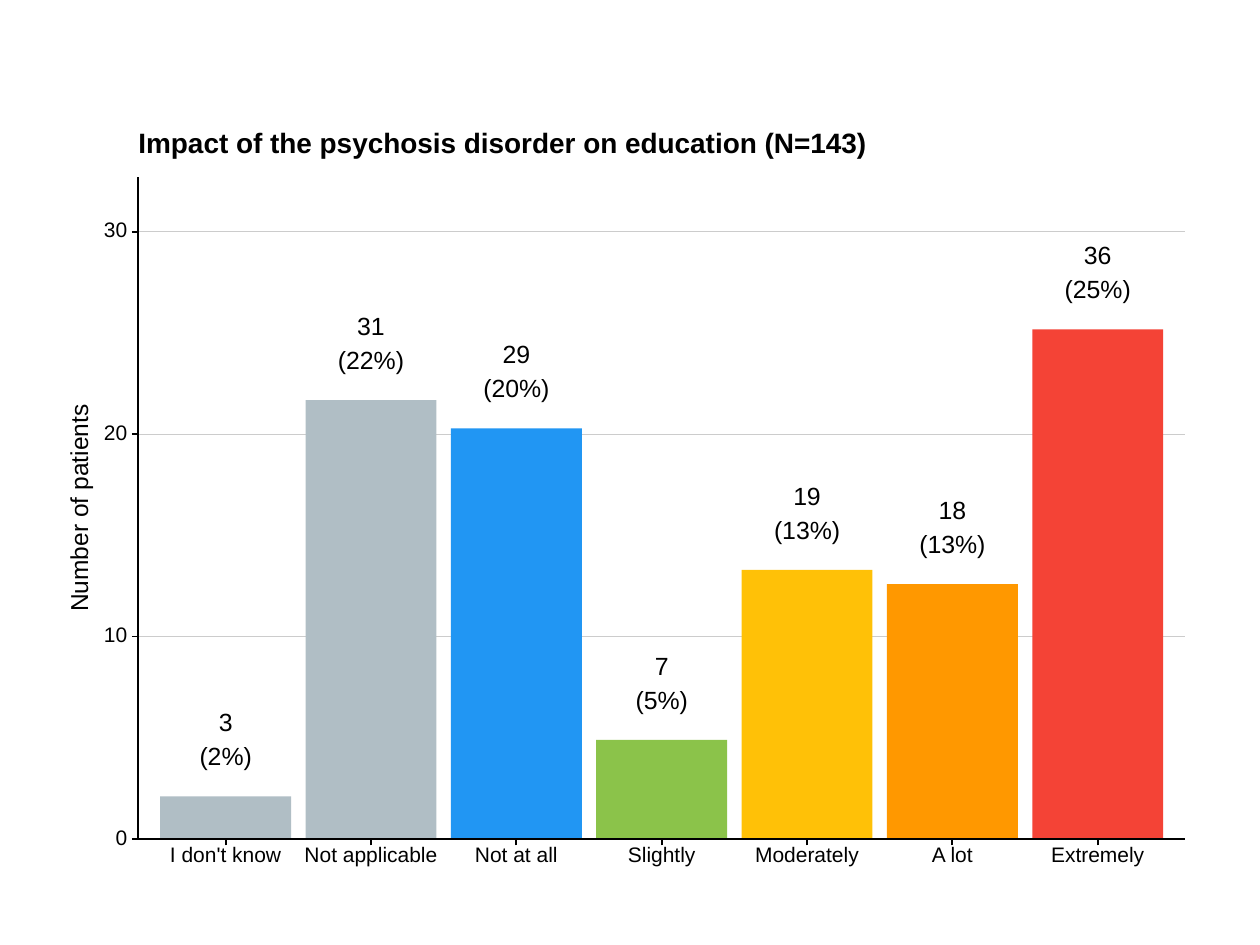
from dataclasses import dataclass
from typing import Any

from lxml import etree
from pptx import Presentation
from pptx import util as u
from pptx.dml.color import RGBColor
from pptx.enum import shapes, text
from pptx.oxml import ns

# Answers: label, label width (cm), patients, bar colour
ANSWERS = [
    ("I don't know", 2.24, 3, "B0BEC5"),
    ("Not applicable", 2.69, 31, "B0BEC5"),
    ("Not at all", 1.68, 29, "2196F3"),
    ("Slightly", 1.37, 7, "8BC34A"),
    ("Moderately", 2.08, 19, "FFC107"),
    ("A lot", 0.84, 18, "FF9800"),
    ("Extremely", 1.88, 36, "F44336"),
]
TOTAL = sum(answer[2] for answer in ANSWERS)

# Plot geometry in centimetres
LEFT, RIGHT, TOP, BASE = 2.79, 23.88, 3.56, 16.91
PERCENT_HEIGHT = 0.408
FIRST_BAR, BAR_PITCH, BAR_WIDTH = 4.55, 2.93, 2.64
TICK = 0.13
TICK_VALUES = range(0, 31, 10)


def color(hex_string):
    return RGBColor.from_string(hex_string)


def bar_center(index):
    return FIRST_BAR + index * BAR_PITCH


def value_y(percent):
    return BASE - percent * PERCENT_HEIGHT


@dataclass
class ChartSlide:
    slide: Any
    font: str = "Arial"
    ink: str = "000000"
    grid: str = "CCCCCC"
    axis_width: float = 1.07
    grid_width: float = 0.21

    def format_text(self, shape, words, size, align, bold=False):
        frame = shape.text_frame
        frame.text = words
        frame.auto_size = text.MSO_AUTO_SIZE.NONE
        frame.word_wrap = False
        frame.vertical_anchor = text.MSO_ANCHOR.MIDDLE
        frame.margin_left = frame.margin_right = 0
        frame.margin_top = frame.margin_bottom = 0
        paragraph = frame.paragraphs[0]
        paragraph.alignment = align
        paragraph.line_spacing = u.Pt(size)
        paragraph.space_before = u.Pt(0)
        paragraph.font.name = self.font
        paragraph.font.size = u.Pt(size)
        paragraph.font.bold = bold
        paragraph.font.color.rgb = color(self.ink)

    def title(self, words, left, top, width, height):
        shape = self.slide.shapes.title
        shape.left, shape.top = u.Cm(left), u.Cm(top)
        shape.width, shape.height = u.Cm(width), u.Cm(height)
        self.format_text(shape, words, 16, text.PP_ALIGN.LEFT, bold=True)

    def label(self, words, center_x, center_y, width, height, size, rotation=0):
        shape = self.slide.shapes.add_textbox(
            u.Cm(center_x - width / 2), u.Cm(center_y - height / 2),
            u.Cm(width), u.Cm(height))
        shape.rotation = rotation
        self.format_text(shape, words, size, text.PP_ALIGN.CENTER)

    def bar(self, center_x, top, fill):
        shape = self.slide.shapes.add_shape(
            shapes.MSO_SHAPE.RECTANGLE, u.Cm(center_x - BAR_WIDTH / 2),
            u.Cm(top), u.Cm(BAR_WIDTH), u.Cm(BASE - top))
        shape.shadow.inherit = False
        shape.fill.solid()
        shape.fill.fore_color.rgb = color(fill)
        shape.line.fill.background()

    def line(self, x1, y1, x2, y2, stroke, width):
        connector = self.slide.shapes.add_connector(
            shapes.MSO_CONNECTOR.STRAIGHT,
            u.Cm(x1), u.Cm(y1), u.Cm(x2), u.Cm(y2))
        connector.line.color.rgb = color(stroke)
        connector.line.width = u.Pt(width)
        properties = connector.element.find(ns.qn("p:spPr"))
        etree.SubElement(properties, ns.qn("a:effectLst"))

    def grid_line(self, y):
        self.line(LEFT, y, RIGHT, y, self.grid, self.grid_width)

    def axis_line(self, x1, y1, x2, y2):
        self.line(x1, y1, x2, y2, self.ink, self.axis_width)


def main():
    presentation = Presentation()
    presentation.slide_width = u.Cm(25.4)
    presentation.slide_height = u.Cm(19.05)
    chart = ChartSlide(presentation.slides.add_slide(presentation.slide_layouts[5]))

    chart.title("Impact of the psychosis disorder on education (N=143)",
                LEFT, 2.67, 14.73, 0.53)

    # Grid
    for value in TICK_VALUES:
        chart.grid_line(value_y(value))

    # Bars with count and share above
    for index, (_, _, count, fill) in enumerate(ANSWERS):
        percent = 100 * count / TOTAL
        center, top = bar_center(index), value_y(percent)
        chart.bar(center, top, fill)
        share = f"{percent:.0f}"
        chart.label(str(count), center, top - 1.45, 0.28 * len(str(count)), 0.36, 14.2)
        chart.label(f"({share}%)", center, top - 0.77, 0.79 + 0.28 * len(share), 0.48, 14.2)

    # Value axis
    chart.axis_line(LEFT, BASE, LEFT, TOP)
    for value in TICK_VALUES:
        y, width = value_y(value), 0.24 * len(str(value))
        chart.label(str(value), 2.57 - width / 2, y, width, 0.3, 12)
        chart.axis_line(LEFT - TICK, y, LEFT, y)
    chart.label("Number of patients", 1.63, 10.24, 4.17, 0.46, 14, rotation=270)

    # Answer axis
    chart.axis_line(LEFT, BASE, RIGHT, BASE)
    for index, (name, width, _, _) in enumerate(ANSWERS):
        center = bar_center(index)
        chart.axis_line(center, BASE + TICK, center, BASE)
        chart.label(name, center, 17.27, width, 0.36, 12)

    presentation.save("out.pptx")


if __name__ == "__main__":
    main()
